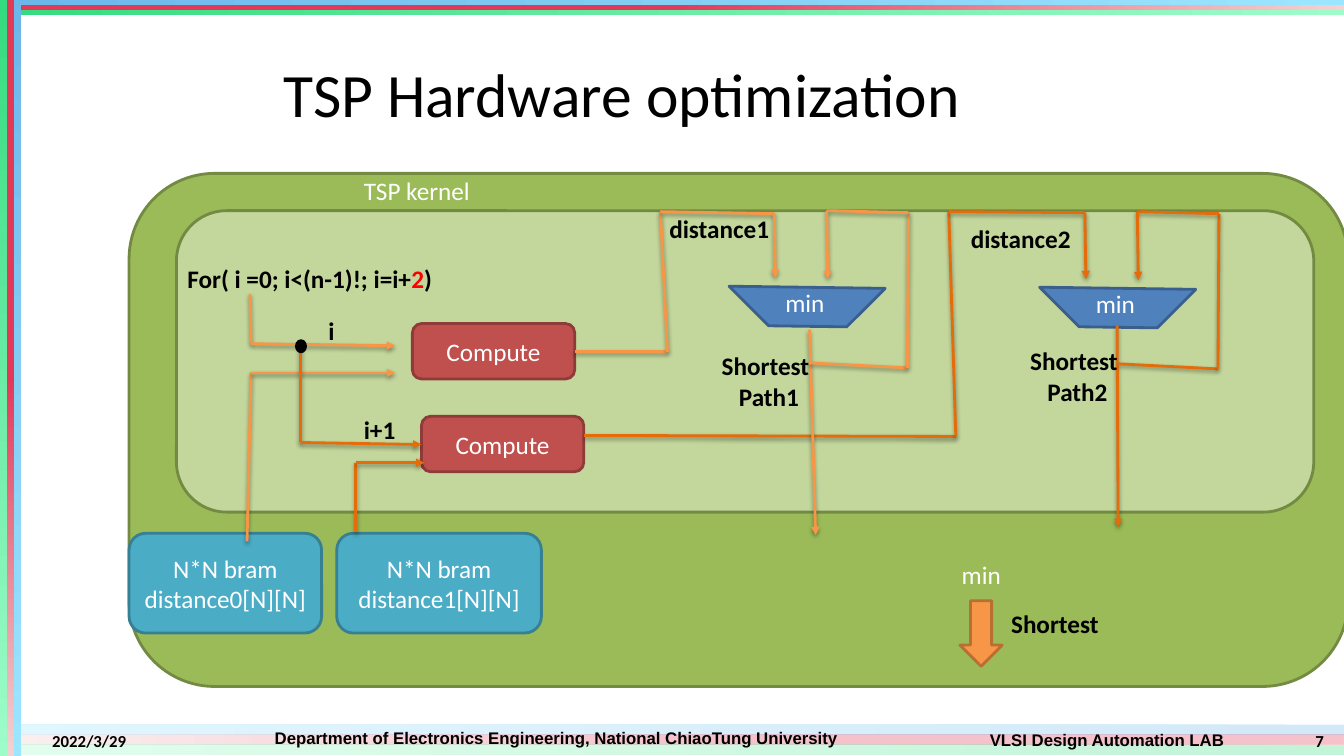
from dataclasses import dataclass
from itertools import pairwise

from lxml.etree import SubElement
from pptx import Presentation
from pptx.dml.color import RGBColor
from pptx.enum.shapes import MSO_CONNECTOR, MSO_SHAPE
from pptx.enum.text import MSO_ANCHOR, PP_ALIGN
from pptx.oxml.ns import qn
from pptx.util import Inches, Pt


@dataclass(frozen=True)
class Theme:
    body_font: str = "Calibri"
    footer_font: str = "Arial"
    title_size: int = 44
    label_size: int = 18
    footer_size: int = 12
    line_width: int = 2
    black: str = "000000"
    white: str = "FFFFFF"
    highlight: str = "FF0000"
    # Fill and outline pairs
    kernel: tuple = ("9BBB59", "738A42")
    body: tuple = ("C3D69B", "738A42")
    compute: tuple = ("C0504D", "8E3B39")
    memory: tuple = ("4BACC6", "377F92")
    minimum: tuple = ("4F81BD", "3A5F8C")
    legend: tuple = ("F79646", "B76F34")
    junction: tuple = ("000000", "000000")
    # Wires of the first and second lane
    first_wire: str = "F79646"
    second_wire: str = "E46C0A"
    # Stripes: start position, start colour, end colour
    blue: tuple = (0, "6CB7EA", "9BE5FF")
    red: tuple = (0.5, "E33959", "F2D2D2")
    green: tuple = (0, "35DB80", "9EFCC9")


@dataclass(frozen=True)
class Box:
    left: float
    top: float
    width: float
    height: float

    def inner(self, left, top, width, height):
        return Box(self.left + left, self.top + top, width, height)

    def lengths(self):
        return [Inches(v) for v in (self.left, self.top, self.width, self.height)]


THEME = Theme()
LABEL_INDENT = 0.11


def rgb(colour):
    return RGBColor.from_string(colour)


def write(paragraph, text, colour, size=THEME.label_size, bold=False, font=THEME.body_font):
    run = paragraph.add_run()
    run.text = text
    run.font.name, run.font.size, run.font.bold = font, Pt(size), bold
    run.font.color.rgb = rgb(colour)


def add_label(slide, box, lines, colour=THEME.black, bold=True):
    """Each line is an indent in inches followed by (text, colour) runs or one text."""
    frame = slide.shapes.add_textbox(*box.lengths()).text_frame
    frame.word_wrap = True
    for number, (indent, content) in enumerate(lines):
        paragraph = frame.add_paragraph() if number else frame.paragraphs[0]
        paragraph._p.get_or_add_pPr().set("marL", str(Inches(indent)))
        for text, run_colour in [(content, colour)] if isinstance(content, str) else content:
            write(paragraph, text, run_colour, bold=bold)


def add_block(slide, kind, box, colours, lines=()):
    block = slide.shapes.add_shape(kind, *box.lengths())
    block.shadow.inherit = False
    block.fill.solid()
    block.fill.fore_color.rgb = rgb(colours[0])
    block.line.color.rgb = rgb(colours[1])
    block.line.width = Pt(THEME.line_width)
    frame = block.text_frame
    frame.vertical_anchor = MSO_ANCHOR.MIDDLE
    for number, text in enumerate(lines):
        paragraph = frame.add_paragraph() if number else frame.paragraphs[0]
        paragraph.alignment = PP_ALIGN.CENTER
        write(paragraph, text, THEME.white)
    return block


def add_wire(slide, box, points, colour):
    """Join points, given relative to the box, and end in an arrowhead."""
    corners = [(Inches(box.left + x), Inches(box.top + y)) for x, y in points]
    for start, end in pairwise(corners):
        wire = slide.shapes.add_connector(MSO_CONNECTOR.STRAIGHT, *start, *end)
        wire.line.color.rgb = rgb(colour)
        wire.line.width = Pt(THEME.line_width)
        if end == corners[-1]:
            SubElement(wire.line._get_or_add_ln(), qn("a:tailEnd"), type="triangle")
        effects = SubElement(wire._element.spPr, qn("a:effectLst"))
        shadow = SubElement(effects, qn("a:outerShdw"), blurRad=str(Pt(3.1)),
                            dist=str(Pt(1.6)), dir="5400000", rotWithShape="0")
        black = SubElement(shadow, qn("a:srgbClr"), val=THEME.black)
        SubElement(black, qn("a:alpha"), val="38000")


def add_stripe(slide, box, colours, angle, opacity=100):
    stripe = slide.shapes.add_shape(MSO_SHAPE.RECTANGLE, *box.lengths())
    stripe.shadow.inherit = False
    stripe.line.fill.background()
    stripe.fill.gradient()
    stripe.fill.gradient_angle = angle
    start, *ends = colours
    for stop, position, colour in zip(stripe.fill.gradient_stops, (start, 1), ends):
        stop.position = position
        stop.color.rgb = rgb(colour)
    for colour in stripe._element.spPr.iter(qn("a:srgbClr")):
        SubElement(colour, qn("a:alpha"), val=str(opacity * 1000))


def build_frame(slide, page):
    bands = (THEME.blue, THEME.red, THEME.green)
    for number, band in enumerate(bands):
        add_stripe(slide, page.inner(0, 7.19 + 0.1 * number, page.width, 0.1), band, 180, 30)
    for number, band in enumerate(bands):
        add_stripe(slide, page.inner(0, 0.05 * number, page.width, 0.05), band, 0)
    for number, band in enumerate(reversed(bands)):
        add_stripe(slide, page.inner(0.07 * number, 0, 0.07, page.height), band, 270)


def build_title(slide, box):
    title = slide.shapes.title
    title.left, title.top, title.width, title.height = box.lengths()
    title.text_frame.vertical_anchor = MSO_ANCHOR.MIDDLE
    paragraph = title.text_frame.paragraphs[0]
    paragraph.alignment = PP_ALIGN.LEFT
    write(paragraph, "TSP Hardware optimization", THEME.black, THEME.title_size)


def build_footer(slide, box):
    entries = (
        (0.42, 0, 1.46, "2022/3/29", PP_ALIGN.LEFT, THEME.body_font),
        (2.08, -0.03, 6.88, "Department of Electronics Engineering, National ChiaoTung University",
         PP_ALIGN.CENTER, THEME.footer_font),
        (9.17, -0.01, 3.62, "VLSI Design Automation LAB", PP_ALIGN.CENTER, THEME.footer_font),
        (12.65, 0, 0.58, "7", PP_ALIGN.RIGHT, THEME.body_font),
    )
    for left, top, width, text, alignment, font in entries:
        place = box.inner(left, top, width, box.height)
        frame = slide.shapes.add_textbox(*place.lengths()).text_frame
        frame.word_wrap = True
        frame.vertical_anchor = MSO_ANCHOR.MIDDLE
        frame.paragraphs[0].alignment = alignment
        write(frame.paragraphs[0], text, THEME.black, THEME.footer_size, True, font)


def build_kernel(slide, box, body):
    add_block(slide, MSO_SHAPE.ROUNDED_RECTANGLE, box, THEME.kernel)
    add_block(slide, MSO_SHAPE.ROUNDED_RECTANGLE, body, THEME.body)
    add_label(slide, box.inner(2.23, -0.03, 1.42, 0.4), [(0, "TSP kernel")], THEME.white, False)
    for number, (left, width) in enumerate(((0, 1.91), (2.06, 2.03))):
        add_block(slide, MSO_SHAPE.ROUNDED_RECTANGLE, box.inner(left, 3.57, width, 0.99),
                  THEME.memory, ("N*N bram", f"distance{number}[N][N]"))


def build_compute_stage(slide, body):
    loop = [("For( i =0; i<(n-1)!; i=i+", THEME.black), ("2", THEME.highlight), (")", THEME.black)]
    add_label(slide, body.inner(-0.1, 0.47, 3.31, 0.4), [(LABEL_INDENT, loop)])
    for left, top in ((2.34, 1.12), (2.43, 2.04)):
        add_block(slide, MSO_SHAPE.ROUNDED_RECTANGLE, body.inner(left, top, 1.61, 0.55),
                  THEME.compute, ("Compute",))
    # Index, memory and distance wires of each lane
    routes = {
        THEME.first_wire: (
            [(0.73, 0.83), (0.74, 1.32), (2.17, 1.34)],
            [(0.7, 3.28), (0.74, 1.61), (2.17, 1.61)],
            [(3.95, 1.4), (4.87, 1.4), (4.8, 0.01), (5.93, 0.03), (5.94, 0.67)]),
        THEME.second_wire: (
            [(1.23, 1.32), (1.23, 2.3), (2.43, 2.32)],
            [(1.78, 3.19), (1.78, 2.5), (2.46, 2.5)],
            [(4.04, 2.23), (7.73, 2.24), (7.66, 0.01), (9.01, 0.02), (9.02, 0.68)]),
    }
    for colour, wires in routes.items():
        for points in wires:
            add_wire(slide, body, points, colour)
    add_block(slide, MSO_SHAPE.OVAL, body.inner(1.19, 1.29, 0.09, 0.11), THEME.junction)
    add_label(slide, body.inner(1.3, 0.99, 0.56, 0.4), [(LABEL_INDENT, "i")])
    add_label(slide, body.inner(1.65, 1.97, 0.85, 0.4), [(LABEL_INDENT, "i+1")])


def build_min_lane(slide, box, number, colour, distance_at, shortest_at, result):
    selector = add_block(slide, MSO_SHAPE.DIAGONAL_STRIPE, box.inner(0, 0.21, 1.11, 1.08),
                         THEME.minimum)
    selector.rotation = 225
    add_label(slide, box.inner(0.24, 0.7, 0.76, 0.4), [(0, "min")], THEME.white, False)
    add_wire(slide, box, result, colour)
    feedback = [(0.57, 1.5), (1.55, 1.55), (1.56, 0.01), (0.75, -0.01), (0.76, 0.67)]
    add_wire(slide, box, feedback, colour)
    add_label(slide, box.inner(*distance_at, 1.35, 0.4), [(LABEL_INDENT, f"distance{number}")])
    add_label(slide, box.inner(*shortest_at, 1.23, 0.71),
              [(LABEL_INDENT, "Shortest"), (0.28, f"Path{number}")])


def build_legend(slide, box):
    add_label(slide, box.inner(0.04, 0, 0.76, 0.4), [(0, "min")], THEME.white, False)
    add_block(slide, MSO_SHAPE.DOWN_ARROW, box.inner(0.12, 0.46, 0.42, 0.65), THEME.legend)
    add_label(slide, box.inner(0.42, 0.49, 1.22, 0.4), [(LABEL_INDENT, "Shortest")])


def main():
    deck = Presentation()
    deck.slide_width, deck.slide_height = Inches(13.33), Inches(7.5)
    slide = deck.slides.add_slide(deck.slide_layouts.get_by_name("Title Only"))
    body = Box(1.75, 2.09, 11.28, 2.99)
    build_frame(slide, Box(0, 0, 13.33, 7.5))
    build_title(slide, Box(2.71, 0.3, 9.96, 1.25))
    build_footer(slide, Box(0, 7.19, 13.33, 0.31))
    build_kernel(slide, Box(1.28, 1.72, 12.09, 5.09), body)
    build_compute_stage(slide, body)
    build_min_lane(slide, body.inner(5.7, 0.01, 1.56, 3.2), 1, THEME.first_wire,
                   (-1.02, -0.03), (-0.5, 1.33), [(0.58, 1.17), (0.64, 3.21)])
    build_min_lane(slide, body.inner(8.78, 0.02, 1.56, 3.2), 2, THEME.second_wire,
                   (-1.11, 0.06), (-0.52, 1.27), [(0.55, 1.12), (0.56, 3.12)])
    build_legend(slide, Box(9.4, 5.5, 1.64, 1.2))
    deck.save("out.pptx")


if __name__ == "__main__":
    main()
